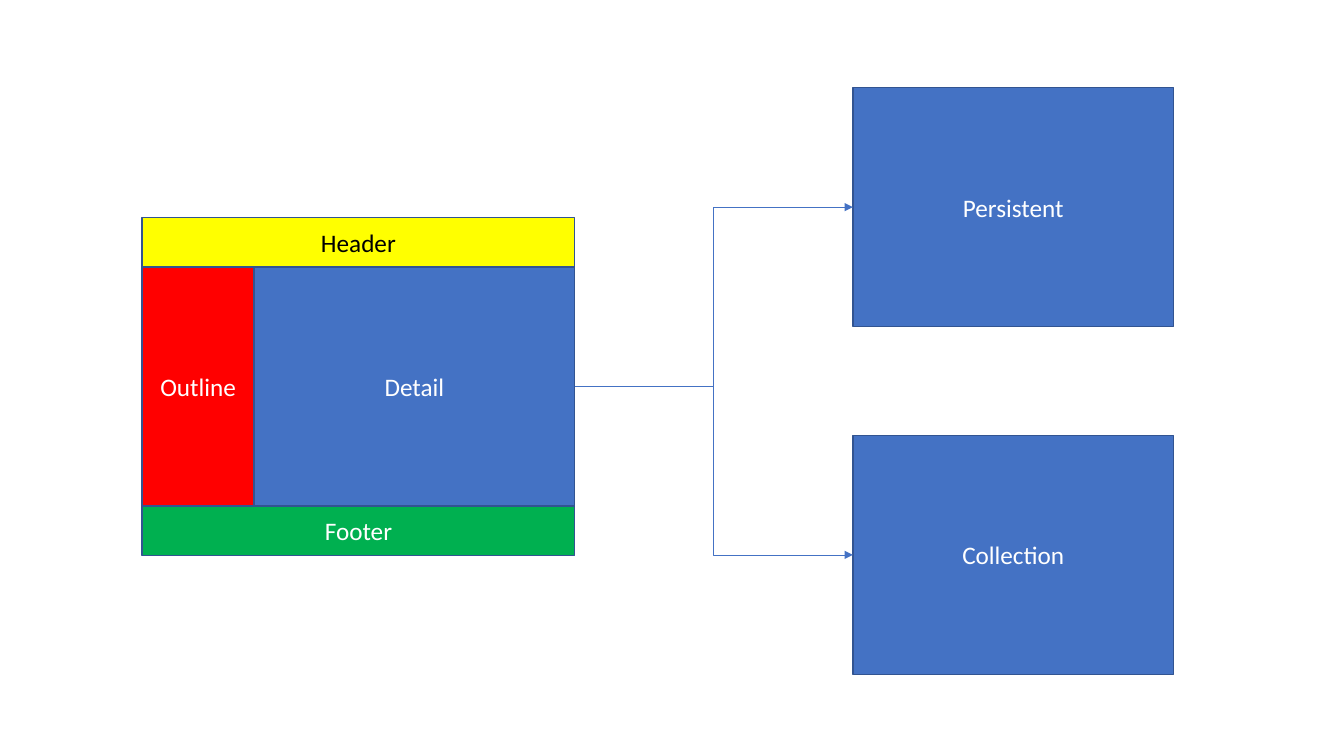
from dataclasses import dataclass

from lxml import etree
from pptx import Presentation
from pptx import util as u
from pptx.dml.color import RGBColor
from pptx.enum import shapes, text
from pptx.oxml.ns import qn
from pptx.shapes.autoshape import Shape
from pptx.slide import Slide

BLUE = RGBColor(0x44, 0x72, 0xC4)
EDGE = RGBColor(0x32, 0x54, 0x91)
RED = RGBColor(0xFF, 0x00, 0x00)
GREEN = RGBColor(0x00, 0xB0, 0x50)
YELLOW = RGBColor(0xFF, 0xFF, 0x00)
WHITE = RGBColor(0xFF, 0xFF, 0xFF)
BLACK = RGBColor(0x00, 0x00, 0x00)

# Page frame: bars above and below, outline beside the detail
LEFT, TOP = 1.41, 2.16
BAR = 0.49
SIDE = 1.11
WIDE, HIGH = 3.18, 2.37
FULL = SIDE + WIDE
BODY = TOP + BAR
RIGHT = 8.46


@dataclass
class Box:
    label: str
    left: float
    top: float
    width: float
    height: float
    fill: RGBColor = BLUE
    ink: RGBColor = WHITE


BOXES = [
    Box("Outline", LEFT, BODY, SIDE, HIGH, RED),
    Box("Detail", LEFT + SIDE, BODY, WIDE, HIGH),
    Box("Footer", LEFT, BODY + HIGH, FULL, BAR, GREEN),
    Box("Header", LEFT, TOP, FULL, BAR, YELLOW, BLACK),
    Box("Persistent", RIGHT, 0.87, WIDE, HIGH),
    Box("Collection", RIGHT, 4.32, WIDE, HIGH),
]


def draw_box(slide: Slide, box: Box) -> Shape:
    rect = slide.shapes.add_shape(
        shapes.MSO_SHAPE.RECTANGLE,
        u.Inches(box.left), u.Inches(box.top),
        u.Inches(box.width), u.Inches(box.height))
    rect.shadow.inherit = False
    rect.fill.solid()
    rect.fill.fore_color.rgb = box.fill
    rect.line.color.rgb = EDGE
    rect.line.width = u.Pt(1)
    frame = rect.text_frame
    frame.text = box.label
    frame.vertical_anchor = text.MSO_ANCHOR.MIDDLE
    para = frame.paragraphs[0]
    para.alignment = text.PP_ALIGN.CENTER
    para.font.name = "Calibri"
    para.font.size = u.Pt(18)
    para.font.color.rgb = box.ink
    return rect


def link(slide: Slide, start: Shape, end: Shape) -> None:
    """Join the right side of start to the left side of end."""
    line = slide.shapes.add_connector(
        shapes.MSO_CONNECTOR.ELBOW,
        start.left + start.width, start.top + start.height // 2,
        end.left, end.top + end.height // 2)
    line.begin_connect(start, 3)
    line.end_connect(end, 1)
    line.line.color.rgb = BLUE
    line.line.width = u.Pt(0.5)
    # Arrowhead, and no theme shadow
    tail = etree.SubElement(line.line._get_or_add_ln(), qn("a:tailEnd"))
    tail.set("type", "triangle")
    etree.SubElement(line._element.spPr, qn("a:effectLst"))


deck = Presentation()
deck.slide_width = u.Inches(13.33)
deck.slide_height = u.Inches(7.5)
slide = deck.slides.add_slide(deck.slide_layouts[6])

# Boxes
rects = {box.label: draw_box(slide, box) for box in BOXES}

# Arrows from the detail to its two kinds
for kind in ("Persistent", "Collection"):
    link(slide, rects["Detail"], rects[kind])

deck.save("out.pptx")
